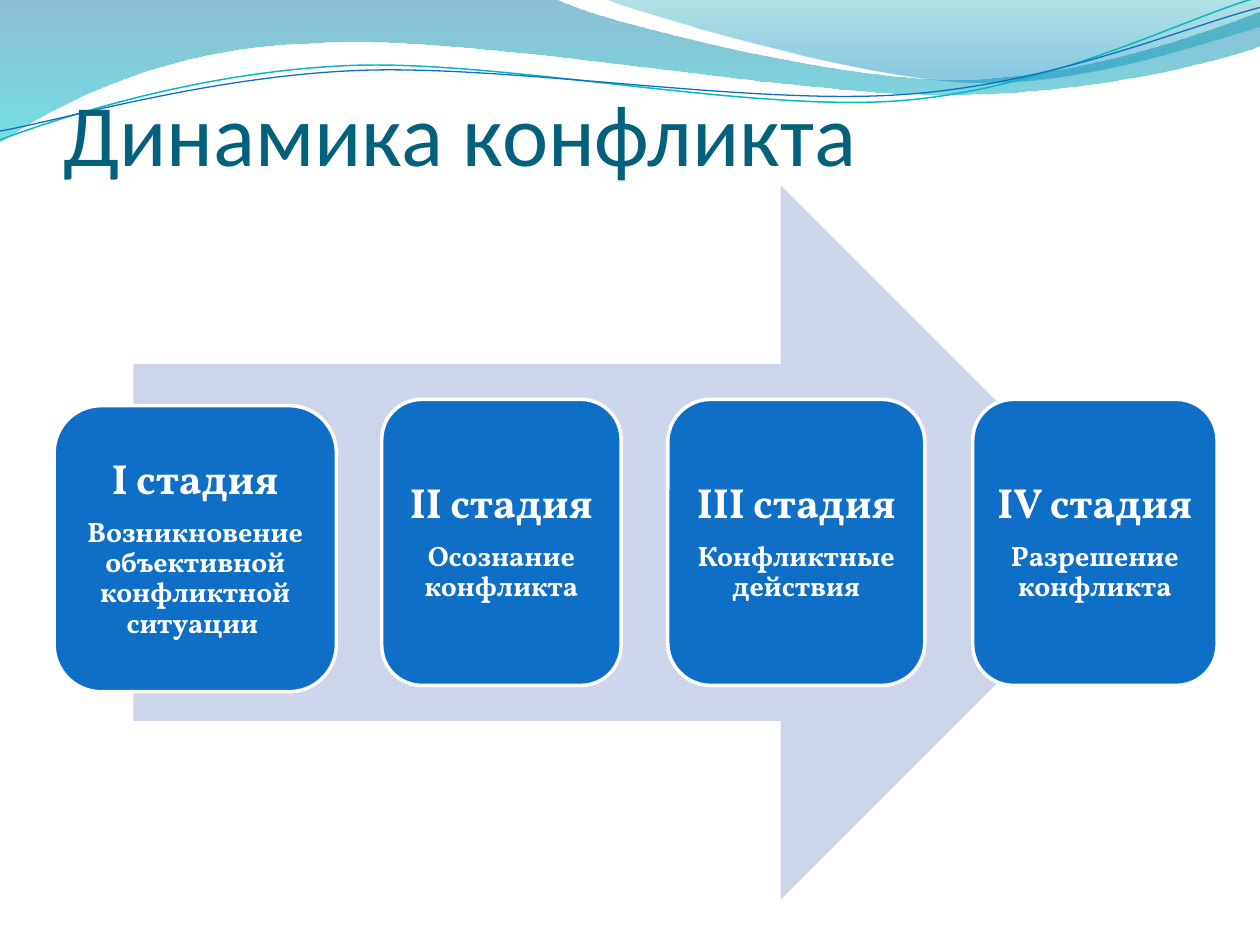
import math
from dataclasses import dataclass
from typing import Optional

from lxml import etree
from pptx import Presentation
from pptx import util as u
from pptx.dml.color import RGBColor
from pptx.enum import shapes, text
from pptx.oxml.ns import qn


@dataclass(frozen=True)
class Theme:
    title: str = "04617B"
    arrow: str = "CCD5EA"
    box: str = "0F6FC6"
    white: str = "FFFFFF"
    teal: str = "0AB8BF"
    title_font: str = "Calibri"
    box_font: str = "Vollkorn"
    title_size: int = 50
    head_size: int = 24
    body_size: int = 16


@dataclass(frozen=True)
class Wave:
    """Segments hold (x, y) for a line or three control points for a curve."""
    start: tuple
    segments: tuple
    stops: tuple = ()  # position %, colour, opacity %
    line: Optional[tuple] = None  # colour, width in points
    turn: float = 0  # degrees, about the pivot
    pivot: tuple = (0, 0)


@dataclass(frozen=True)
class Stage:
    head: str
    body: str
    left: float
    width: float
    top: float = 3.17


T = Theme()
COLS, ROWS = 10, 7.5
BOX_HEIGHT = 2.27

WAVES = (
    Wave((0, 0), ((4.4, -0.01), (4.76, 0.17, 6.64, 0.63, 7.58, 0.63),
                  (8.53, 0.63, 9.58, 0.26, 10, 0.09), (10.01, 0.36),
                  (9.83, 0.44, 8.7, 0.76, 7.46, 0.75),
                  (6.22, 0.75, 3.82, 0.28, 2.57, 0.34),
                  (1.29, 0.36, 0.46, 0.83, -0.01, 1.13), (0, 0)),
         stops=((0, "0074A1", 45), (100, "00C6CF", 55))),
    Wave((4.79, -0.01), ((5.09, 0.11, 6.82, 0.62, 7.69, 0.65),
                         (8.56, 0.69, 9.61, 0.32, 10, 0.21), (10, 0), (4.79, -0.01)),
         stops=((0, "00A1A9", 30), (80, "008BBF", 45))),
    Wave((0, 1.11), ((0.48, 0.93, 1.58, 0.57, 2.77, 0.52),
                     (3.95, 0.47, 5.93, 0.89, 7.13, 0.8),
                     (8.33, 0.71, 9.38, 0.15, 9.98, -0.02)),
         line=(T.teal, 0.85), turn=-2.7, pivot=(4.99, 0.58)),
    Wave((0, 1.04), ((0.47, 0.96, 1.64, 0.61, 2.83, 0.56),
                     (4.03, 0.51, 5.97, 0.84, 7.17, 0.75),
                     (8.36, 0.67, 9.41, 0.21, 10, 0.06)),
         line=(T.box, 0.75), turn=-2.7, pivot=(5, 0.59)),
)
STAGES = (
    Stage("I стадия", "Возникновение объективной конфликтной ситуации ", 0.43, 2.24, 3.22),
    Stage("II стадия", "Осознание конфликта", 3.03, 1.9),
    Stage("III стадия", "Конфликтные действия", 5.3, 2.04),
    Stage("IV стадия", "Разрешение конфликта", 7.72, 1.94),
)

prs = Presentation()
prs.slide_width, prs.slide_height = u.Inches(10), u.Inches(7.5)
s = prs.slides.add_slide(prs.slide_layouts[5])


def col(n: float) -> int:
    return round(prs.slide_width * n / COLS)


def row(n: float) -> int:
    return round(prs.slide_height * n / ROWS)


def put(obj, **values) -> None:
    for name, value in values.items():
        setattr(obj, name, value)


def paint(sp, fill: Optional[str] = None, line: Optional[tuple] = None) -> None:
    sp.shadow.inherit = False
    if fill:
        sp.fill.solid()
        sp.fill.fore_color.rgb = RGBColor.from_string(fill)
    else:
        sp.fill.background()
    if line:
        sp.line.color.rgb = RGBColor.from_string(line[0])
        sp.line.width = u.Pt(line[1])
    else:
        sp.line.fill.background()


def level(wave: Wave, x: float, y: float) -> tuple:
    """Place of a point before the wave is turned."""
    a = math.radians(-wave.turn)
    px, py = wave.pivot
    dx, dy = x - px, y - py
    return (col(px + dx * math.cos(a) - dy * math.sin(a)),
            row(py + dx * math.sin(a) + dy * math.cos(a)))


def bend(sp, segments: tuple) -> None:
    """Join each three control points into one Bezier segment."""
    steps = iter(list(sp._element.iter(qn("a:lnTo"))))
    for seg in segments:
        step = next(steps)
        if len(seg) == 6:
            step.tag = qn("a:cubicBezTo")
            for _ in range(2):
                extra = next(steps)
                step.append(extra[0])
                extra.getparent().remove(extra)


def set_gradient(sp, stops: tuple) -> None:
    """Vertical gradient with an opacity for each stop."""
    grad = etree.Element(qn("a:gradFill"), rotWithShape="1")
    gs_list = etree.SubElement(grad, qn("a:gsLst"))
    for pos, color, opacity in stops:
        gs = etree.SubElement(gs_list, qn("a:gs"), pos=str(pos * 1000))
        clr = etree.SubElement(gs, qn("a:srgbClr"), val=color)
        etree.SubElement(clr, qn("a:alpha"), val=str(opacity * 1000))
    etree.SubElement(grad, qn("a:lin"), ang="5400000", scaled="0")
    sp_pr = sp._element.spPr
    sp_pr.replace(sp_pr.find(qn("a:noFill")), grad)


def draw_wave(wave: Wave) -> None:
    points = [level(wave, *seg[i:i + 2]) for seg in wave.segments
              for i in range(0, len(seg), 2)]
    fb = s.shapes.build_freeform(*level(wave, *wave.start))
    fb.add_line_segments(points, close=bool(wave.stops))
    sp = fb.convert_to_shape()
    bend(sp, wave.segments)
    sp.rotation = wave.turn
    paint(sp, line=wave.line)
    if wave.stops:
        set_gradient(sp, wave.stops)


def write(p, words: str, size: int, font: str, color: str, bold: bool) -> None:
    r = p.add_run()
    r.text = words
    put(r.font, size=u.Pt(size), name=font, bold=bold)
    r.font.color.rgb = RGBColor.from_string(color)


def draw_stage(stage: Stage) -> None:
    sp = s.shapes.add_shape(shapes.MSO_SHAPE.ROUNDED_RECTANGLE, col(stage.left),
                            row(stage.top), col(stage.width), row(BOX_HEIGHT))
    paint(sp, T.box, (T.white, 2))
    tf = sp.text_frame
    put(tf, word_wrap=True, vertical_anchor=text.MSO_ANCHOR.MIDDLE,
        margin_left=0, margin_right=0, margin_top=0, margin_bottom=0)
    lines = ((stage.head, T.head_size), (stage.body, T.body_size))
    for i, (words, size) in enumerate(lines):
        p = tf.add_paragraph() if i else tf.paragraphs[0]
        put(p, alignment=text.PP_ALIGN.CENTER, line_spacing=0.9, space_after=u.Pt(0))
        # Spacing after is a share of the line
        after = p._p.pPr.find(qn("a:spcAft"))
        after.clear()
        etree.SubElement(after, qn("a:spcPct"), val="35000")
        write(p, words, size, T.box_font, T.white, True)


# Waves along the top edge
for wave in WAVES:
    draw_wave(wave)

# Title, in front of the waves
title = s.shapes.title
put(title, left=col(0.5), top=row(0.52), width=col(9), height=row(0.94))
tf = title.text_frame
put(tf, word_wrap=True, auto_size=text.MSO_AUTO_SIZE.NONE,
    vertical_anchor=text.MSO_ANCHOR.BOTTOM, margin_left=0, margin_right=0,
    margin_top=u.Inches(0.05), margin_bottom=0)
tf.paragraphs[0].alignment = text.PP_ALIGN.LEFT
write(tf.paragraphs[0], "Динамика конфликта", T.title_size, T.title_font, T.title, False)
s.shapes._spTree.append(title._element)

# Arrow behind the stages
arrow = s.shapes.add_shape(shapes.MSO_SHAPE.RIGHT_ARROW, col(1.06), row(1.47),
                           col(7.97), row(5.67))
paint(arrow, T.arrow)

# Stages from left to right
for stage in STAGES:
    draw_stage(stage)

prs.save("out.pptx")
